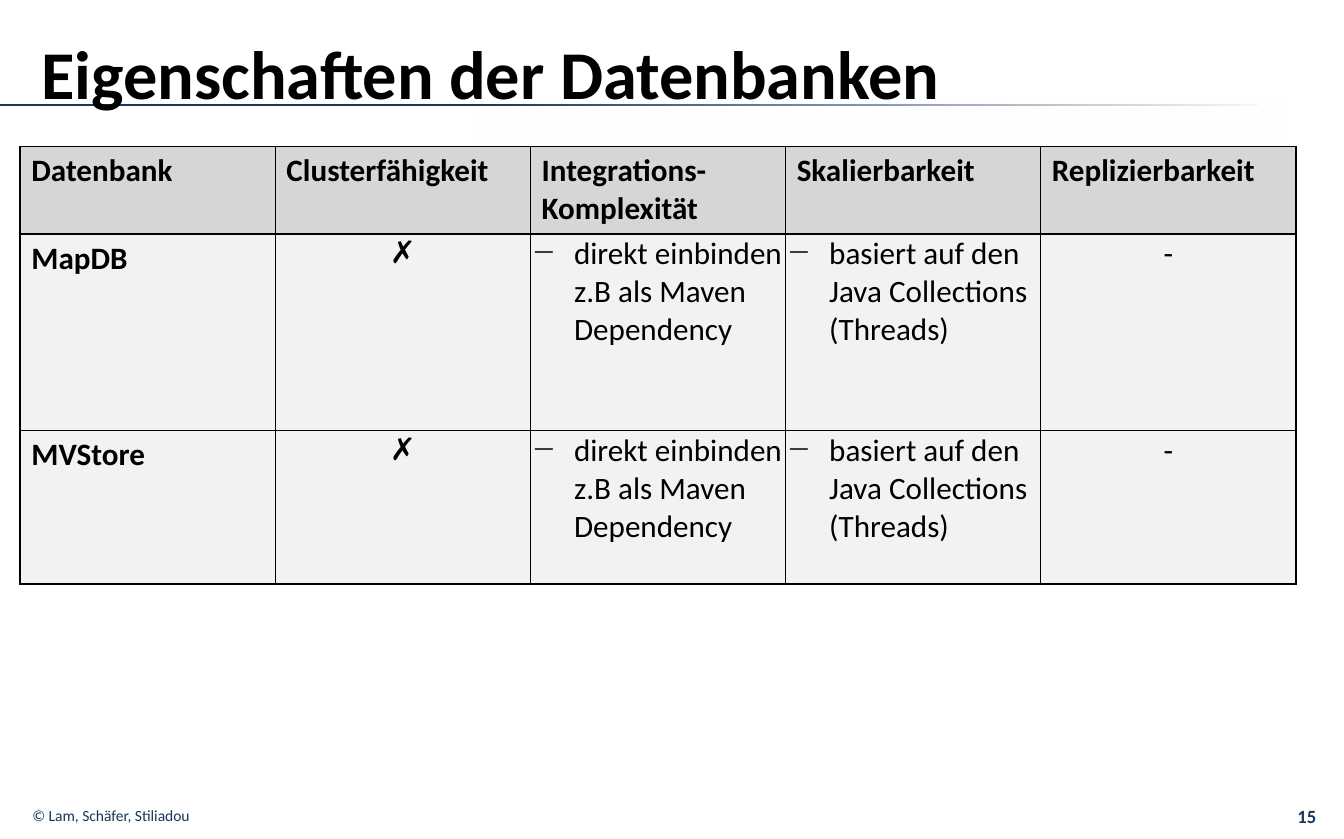
import pptx
import pptx.dml.color
import pptx.enum.shapes
import pptx.enum.text
import pptx.oxml
import pptx.oxml.ns
import pptx.util
from dataclasses import dataclass

PX = 9144  # 100 px to the inch
ALIGN = pptx.enum.text.PP_ALIGN
ANCHOR = pptx.enum.text.MSO_ANCHOR
NS = pptx.oxml.ns.nsdecls("a")


@dataclass(frozen=True)
class Theme:
    font: str = "Calibri"
    symbol_font: str = "Roboto"
    ink: str = "000000"
    navy: str = "17375E"
    paper: str = "FFFFFF"
    header_fill: str = "D6D6D6"
    body_fill: str = "F2F2F2"
    title_size: int = 44
    table_size: int = 20
    number_size: int = 12
    credit_size: int = 10


def px(length):
    return pptx.util.Emu(length * PX)


def rgb(colour):
    return pptx.dml.color.RGBColor.from_string(colour)


def apply(target, values):
    for name, value in values.items():
        setattr(target, name, value)


class SlideBuilder:
    def __init__(self, prs, theme):
        self.theme = theme
        self.slide = prs.slides.add_slide(prs.slide_layouts[5])
        self.shapes = self.slide.shapes

    def set_text(self, frame, text, size, colour, bold=False, font=None, align=ALIGN.LEFT):
        frame.text = text
        for paragraph in frame.paragraphs:
            paragraph.alignment = align
            for run in paragraph.runs:
                apply(run.font, {"name": font or self.theme.font, "bold": bold,
                                 "size": pptx.util.Pt(size)})
                run.font.color.rgb = rgb(colour)

    def title(self, text, left, top, width, height):
        heading = self.shapes.title
        apply(heading, {"left": px(left), "top": px(top),
                        "width": px(width), "height": px(height)})
        apply(heading.text_frame, {"auto_size": pptx.enum.text.MSO_AUTO_SIZE.NONE,
                                   "vertical_anchor": ANCHOR.TOP, "margin_top": px(8)})
        self.set_text(heading.text_frame, text, self.theme.title_size, self.theme.ink, bold=True)
        heading._element.getparent().append(heading._element)  # in front of the rule

    def rule(self, x1, x2, y):
        line = self.shapes.add_connector(
            pptx.enum.shapes.MSO_CONNECTOR.STRAIGHT, px(x1), px(y), px(x2), px(y))
        line.line.color.rgb = rgb(self.theme.navy)
        line.line.width = pptx.util.Pt(1.5)
        line._element.spPr.append(pptx.oxml.parse_xml(f"<a:effectLst {NS}/>"))

    def fade(self, left, top, width, height):
        veil = self.shapes.add_shape(pptx.enum.shapes.MSO_SHAPE.RECTANGLE,
                                     px(left), px(top), px(width), px(height))
        veil.shadow.inherit = False
        veil.line.fill.background()
        veil.fill.gradient()
        veil.fill.gradient_angle = 0
        for stop in veil.fill.gradient_stops:
            stop.color.rgb = rgb(self.theme.paper)
        clear = veil._element.spPr.find(".//" + pptx.oxml.ns.qn("a:srgbClr"))
        clear.append(pptx.oxml.parse_xml(f'<a:alpha {NS} val="0"/>'))

    def label(self, text, left, top, width, height, size, wrap, anchor, **style):
        frame = self.shapes.add_textbox(px(left), px(top), px(width), px(height)).text_frame
        apply(frame, {"word_wrap": wrap, "vertical_anchor": anchor})
        self.set_text(frame, text, size, self.theme.navy, **style)

    def table(self, rows, left, top, column_width, row_heights):
        columns = len(rows[0])
        grid = self.shapes.add_table(len(rows), columns, px(left), px(top),
                                     px(column_width * columns), px(sum(row_heights))).table
        apply(grid, {"first_row": False, "horz_banding": False})
        for column in grid.columns:
            column.width = px(column_width)
        for r, (texts, height) in enumerate(zip(rows, row_heights)):
            grid.rows[r].height = px(height)
            for c, text in enumerate(texts):
                self.cell(grid.cell(r, c), text, is_header=r == 0, is_name=c == 0)

    def cell(self, cell, text, is_header, is_name):
        heading = is_header or is_name
        bulleted = not heading and len(text) > 1
        self.set_text(cell.text_frame, text, self.theme.table_size, self.theme.ink, bold=heading,
                      font=self.theme.symbol_font if text == "✗" else None,
                      align=ALIGN.LEFT if heading or bulleted else ALIGN.CENTER)
        if not heading:
            apply(cell, {"margin_left": px(1), "margin_right": px(1),
                         "margin_top": px(1), "margin_bottom": 0})
        if bulleted:
            self.bullet(cell.text_frame.paragraphs[0])
        self.borders(cell)
        cell.fill.solid()
        cell.fill.fore_color.rgb = rgb(
            self.theme.header_fill if is_header else self.theme.body_fill)

    def bullet(self, paragraph):
        properties = paragraph._p.get_or_add_pPr()
        properties.set("marL", str(px(38)))
        properties.set("indent", str(px(-38)))
        properties.append(pptx.oxml.parse_xml(f'<a:buChar {NS} char="−"/>'))

    def borders(self, cell):
        properties = cell._tc.get_or_add_tcPr()
        for side in "LRTB":
            properties.append(pptx.oxml.parse_xml(
                f'<a:ln{side} {NS} w="{pptx.util.Pt(1)}"><a:solidFill>'
                f'<a:srgbClr val="{self.theme.ink}"/></a:solidFill></a:ln{side}>'))


def main():
    prs = pptx.Presentation()
    apply(prs, {"slide_width": px(1201), "slide_height": px(750)})
    theme = Theme()
    page = SlideBuilder(prs, theme)

    # Rule under the title, fading to the right
    page.rule(-1, 1124, 94)
    page.fade(424, 92, 722, 50)

    # Footer
    page.label("15", 1111, 717, 75, 27, theme.number_size, True, ANCHOR.BOTTOM,
               bold=True, align=ALIGN.RIGHT)
    page.label("© Lam, Schäfer, Stiliadou", 19, 716, 164, 27, theme.credit_size,
               False, ANCHOR.TOP)

    # Title
    page.title("Eigenschaften der Datenbanken", 27, 20, 1144, 67)

    # Comparison of the databases
    properties = ["✗", "direkt einbinden z.B als Maven Dependency",
                  "basiert auf den Java Collections (Threads)", "-"]
    header = ["Datenbank", "Clusterfähigkeit", "Integrations-\nKomplexität",
              "Skalierbarkeit", "Replizierbarkeit"]
    page.table([header, ["MapDB", *properties], ["MVStore", *properties]],
               18, 131, 228, [78, 176, 137])

    prs.save("out.pptx")


if __name__ == "__main__":
    main()
